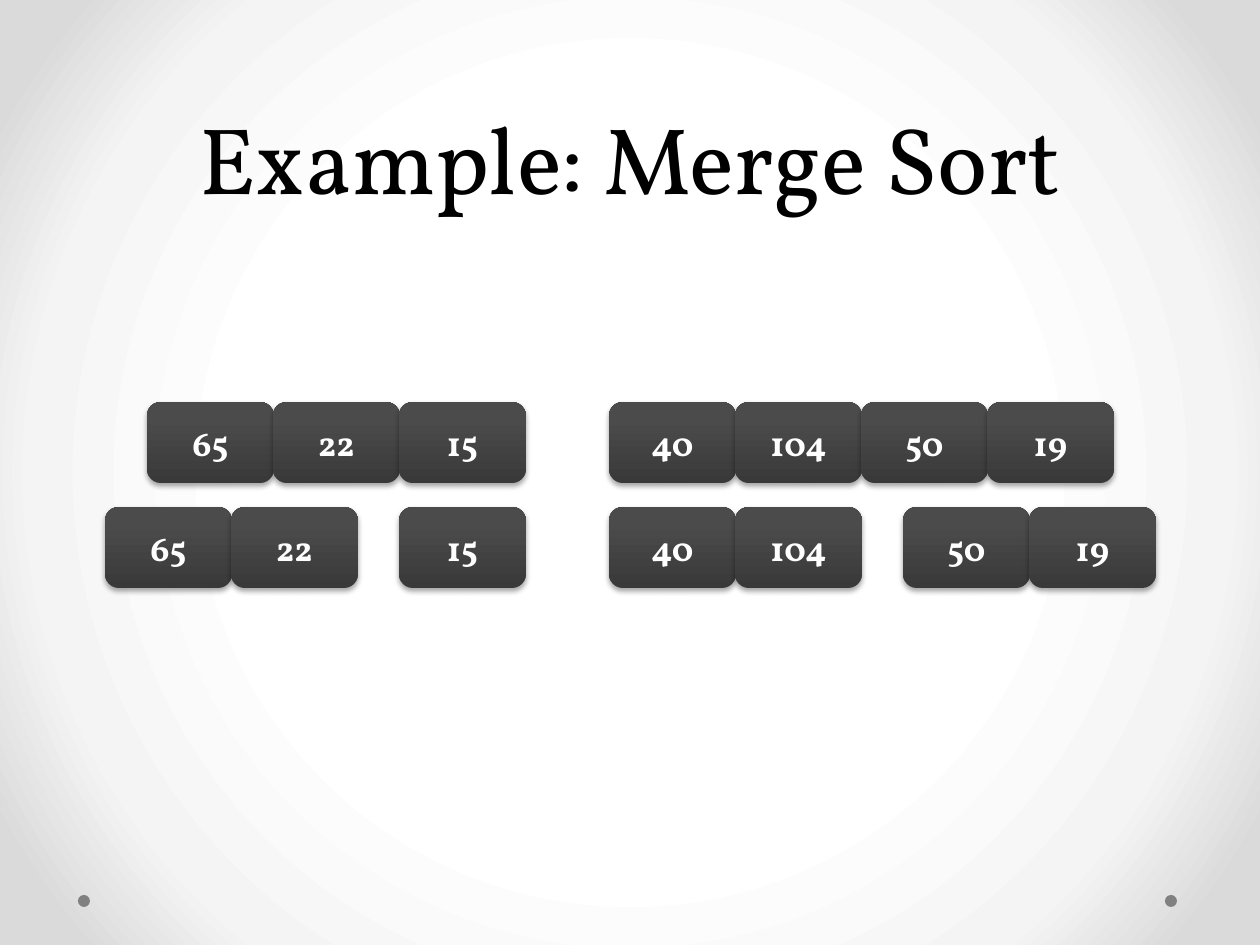
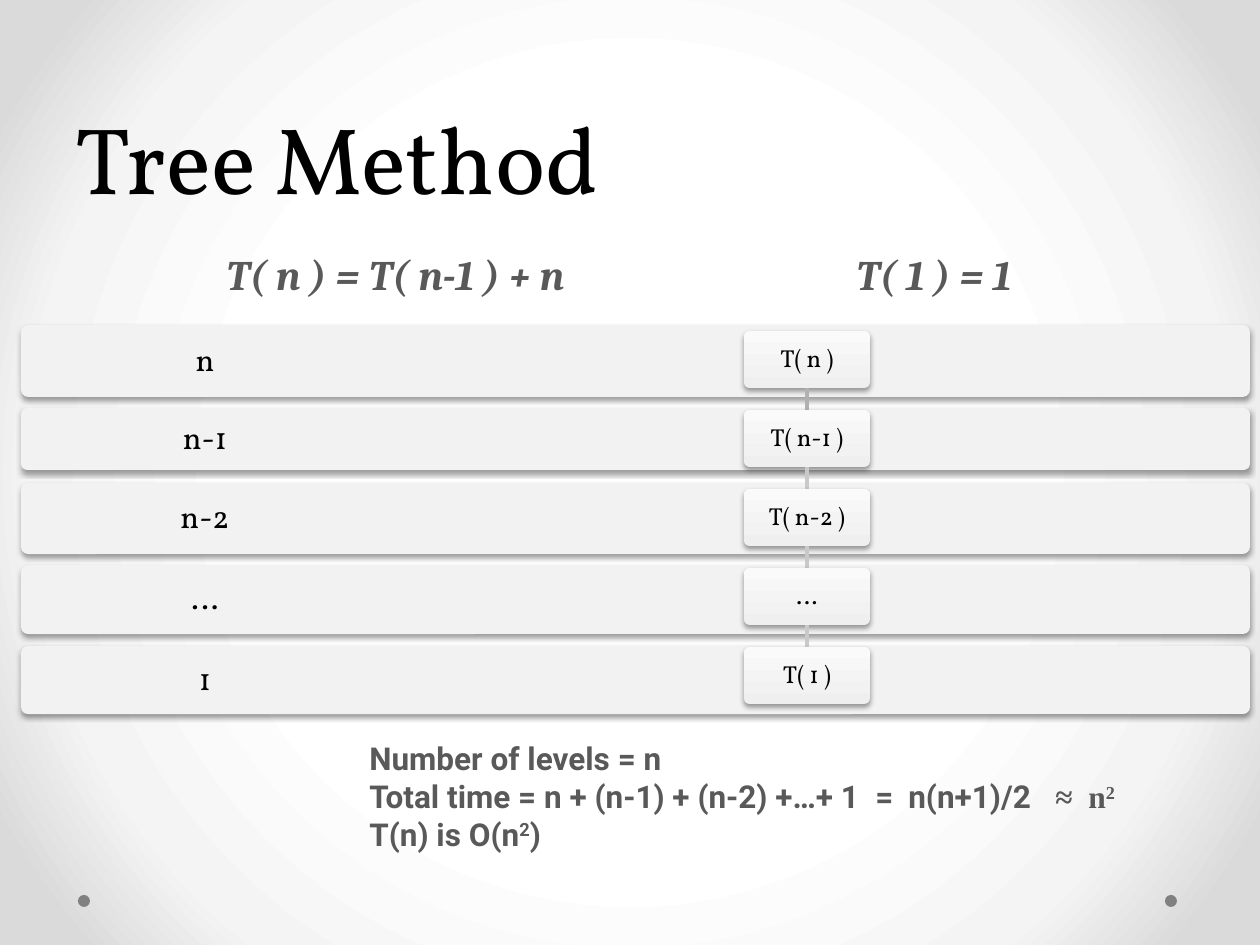
from lxml.etree import SubElement
from pptx import Presentation
from pptx.dml.color import RGBColor
from pptx.enum.shapes import MSO_CONNECTOR as Connector, MSO_SHAPE as Shape
from pptx.enum.text import MSO_ANCHOR as Anchor, PP_ALIGN as Align
from pptx.oxml import parse_xml
from pptx.oxml.ns import qn
from pptx.util import Emu, Pt

PX = 914400 / 126
DRAWING = "http://schemas.openxmlformats.org/drawingml/2006/main"

BLACK, WHITE, GREY = "000000", "FFFFFF", "595959"
DOT, BAND = "808080", "F2F2F2"
TILE_STOPS = ((0, "393939"), (0.8, "4B4B4B"))
NODE_STOPS = ((0, "EFEFEF"), (1, "FAFAFA"))
PAGE_STOPS = ((50, "FFFFFF"), (76, "F4F4F4"), (92, "DADADA"))
LINKS = ("B1B1B1", "C9C9C9", "C9C9C9", "C9C9C9")
SERIF, SANS, ITALIC_SERIF, TIMES = "Vollkorn", "Roboto", "Cambria", "Times New Roman"


def px(*lengths):
    return [Emu(round(length * PX)) for length in lengths]


def color(code):
    return RGBColor.from_string(code)


def style(para, face, size, code, bold=False, italic=False):
    font = para.font
    font.name, font.size, font.bold, font.italic = face, Pt(size), bold, italic
    font.color.rgb = color(code)


def tab_stops(para, *positions):
    tabs = SubElement(para._p.get_or_add_pPr(), qn("a:tabLst"))
    for position in px(*positions):
        SubElement(tabs, qn("a:tab"), pos=str(position), algn="l")


def add_span(para, text, face=None, raised=False):
    span = para.add_run()
    span.text = text
    if face:
        span.font.name = face
    if raised:
        span._r.get_or_add_rPr().set("baseline", "30000")


def add_box(page, box):
    frame = page.shapes.add_textbox(*px(*box)).text_frame
    frame.word_wrap = True
    return frame


def center_text(frame, text, size, code, bold=False, spacing=None, inset=None):
    frame.word_wrap = True
    frame.vertical_anchor = Anchor.MIDDLE
    if inset is not None:
        margin, = px(inset)
        frame.margin_left = frame.margin_right = margin
        frame.margin_top = frame.margin_bottom = margin
    para = frame.paragraphs[0]
    para.text, para.alignment, para.line_spacing = text, Align.CENTER, spacing
    style(para, SERIF, size, code, bold)


def add_shape(page, kind, box, fill):
    """Fill is one colour, or the stops of an upward gradient."""
    shape = page.shapes.add_shape(kind, *px(*box))
    shape.shadow.inherit = False
    shape.line.fill.background()
    if isinstance(fill, str):
        shape.fill.solid()
        shape.fill.fore_color.rgb = color(fill)
    else:
        shape.fill.gradient()
        shape.fill.gradient_angle = 90
        for stop, (position, code) in zip(shape.fill.gradient_stops, fill):
            stop.position, stop.color.rgb = position, color(code)
    return shape


def add_card(page, box, fill, corner, distance, opacity):
    """Rounded rectangle with a soft shadow below it."""
    card = add_shape(page, Shape.ROUNDED_RECTANGLE, box, fill)
    card.adjustments[0] = corner
    effects = card._element.spPr.find(qn("a:effectLst"))
    shadow = SubElement(effects, qn("a:outerShdw"), blurRad=str(Pt(3.1)),
                        dist=str(Pt(distance)), dir="5400000", rotWithShape="0")
    tint = SubElement(shadow, qn("a:srgbClr"), val=BLACK)
    SubElement(tint, qn("a:alpha"), val=str(opacity * 1000))
    return card


def paint_background(page):
    page.background.fill.solid()
    solid = next(page.element.iter(qn("a:solidFill")))
    stops = "".join(f'<a:gs pos="{position * 1000}"><a:srgbClr val="{code}"/></a:gs>'
                    for position, code in PAGE_STOPS)
    solid.getparent().replace(solid, parse_xml(
        f'<a:gradFill xmlns:a="{DRAWING}" rotWithShape="1"><a:gsLst>{stops}</a:gsLst>'
        '<a:path path="circle"><a:fillToRect l="50000" t="50000" r="50000" b="50000"/>'
        '</a:path></a:gradFill>'))


def add_page(deck, title, align):
    page = deck.slides.add_slide(deck.slide_layouts[6])
    paint_background(page)
    # Footer dots
    for left in (1165, 78):
        add_shape(page, Shape.OVAL, (left, 895, 12, 12), DOT)
    # Title
    frame = add_box(page, (63, 0, 1134, 220))
    frame.vertical_anchor = Anchor.BOTTOM
    para = frame.paragraphs[0]
    para.text, para.alignment, para.line_spacing = title, align, Pt(58)
    style(para, SERIF, 54, BLACK)
    return page


def add_tiles(page, left, top, values):
    """One unbroken run of array cells."""
    for index, value in enumerate(values):
        tile = add_card(page, (left + 126 * index, top, 127, 81),
                        TILE_STOPS, 0.17, 1.8, 35)
        center_text(tile.text_frame, value, 20, WHITE, bold=True)


def add_band(page, box, label):
    """Full-width level of the tree with its cost at the left."""
    left, top, _, height = box
    add_card(page, box, BAND, 0.1, 1.6, 38)
    center_text(add_box(page, (left, top, 368, height)), label, 18, BLACK,
                spacing=0.9, inset=18)


def add_chain(page, box, labels, pitch):
    """Column of linked nodes; box is the first node."""
    left, top, width, height = box
    middle = left + width // 2
    for index, label in enumerate(labels):
        node_top = top + pitch * index
        if index:
            link = page.shapes.add_connector(Connector.STRAIGHT, *px(
                middle, node_top - pitch + height, middle, node_top))
            link.line.color.rgb = color(LINKS[index - 1])
            link.line.width = Pt(2.25)
            SubElement(link._element.spPr, qn("a:effectLst"))
        node = add_card(page, (left, node_top, width, height), NODE_STOPS, 0.1, 1.6, 38)
        center_text(node.text_frame, label, 14, BLACK, spacing=0.9, inset=9)


def add_recurrence(page, box):
    para = add_box(page, box).paragraphs[0]
    tab_stops(para, 630)
    add_span(para, "T( n ) = T( n-1 ) + n\tT( 1 ) = 1")
    style(para, ITALIC_SERIF, 24, GREY, bold=True, italic=True)


def add_summary(page, box):
    frame = add_box(page, box)
    levels = frame.paragraphs[0]
    total, order = frame.add_paragraph(), frame.add_paragraph()
    add_span(levels, "Number of levels = n")
    tab_stops(total, 506, 539, 686, 719)
    add_span(total, "Total time = n + (n-1) + (n-2) +…+ 1\t=\tn(n+1)/2\t")
    add_span(total, "≈\tn", TIMES)
    add_span(total, "2", TIMES, raised=True)
    add_span(order, "T(n) is O(n")
    add_span(order, "2", raised=True)
    add_span(order, ")")
    for para in frame.paragraphs:
        style(para, SANS, 18, GREY, bold=True)


def merge_sort_page(deck):
    page = add_page(deck, "Example: Merge Sort", Align.CENTER)
    rows = {402: {147: ("65", "22", "15"), 609: ("40", "104", "50", "19")},
            507: {105: ("65", "22"), 399: ("15",), 609: ("40", "104"), 903: ("50", "19")}}
    for top, groups in rows.items():
        for left, values in groups.items():
            add_tiles(page, left, top, values)


def tree_method_page(deck):
    page = add_page(deck, "Tree Method", Align.LEFT)
    # Top, height, cost and node of each level
    levels = ((325, 72, "n", "T( n )"), (408, 62, "n-1", "T( n-1 )"),
              (483, 71, "n-2", "T( n-2 )"), (565, 69, "…", "…"),
              (646, 68, "1", "T( 1 )"))
    for top, height, cost, _ in levels:
        add_band(page, (21, top, 1229, height), cost)
    add_chain(page, (744, 331, 126, 57), [level[-1] for level in levels], 79)
    add_summary(page, (357, 733, 819, 127))
    add_recurrence(page, (214, 242, 860, 63))


def main():
    deck = Presentation()
    deck.slide_width, deck.slide_height = px(1260, 945)
    merge_sort_page(deck)
    tree_method_page(deck)
    deck.save("out.pptx")


if __name__ == "__main__":
    main()
